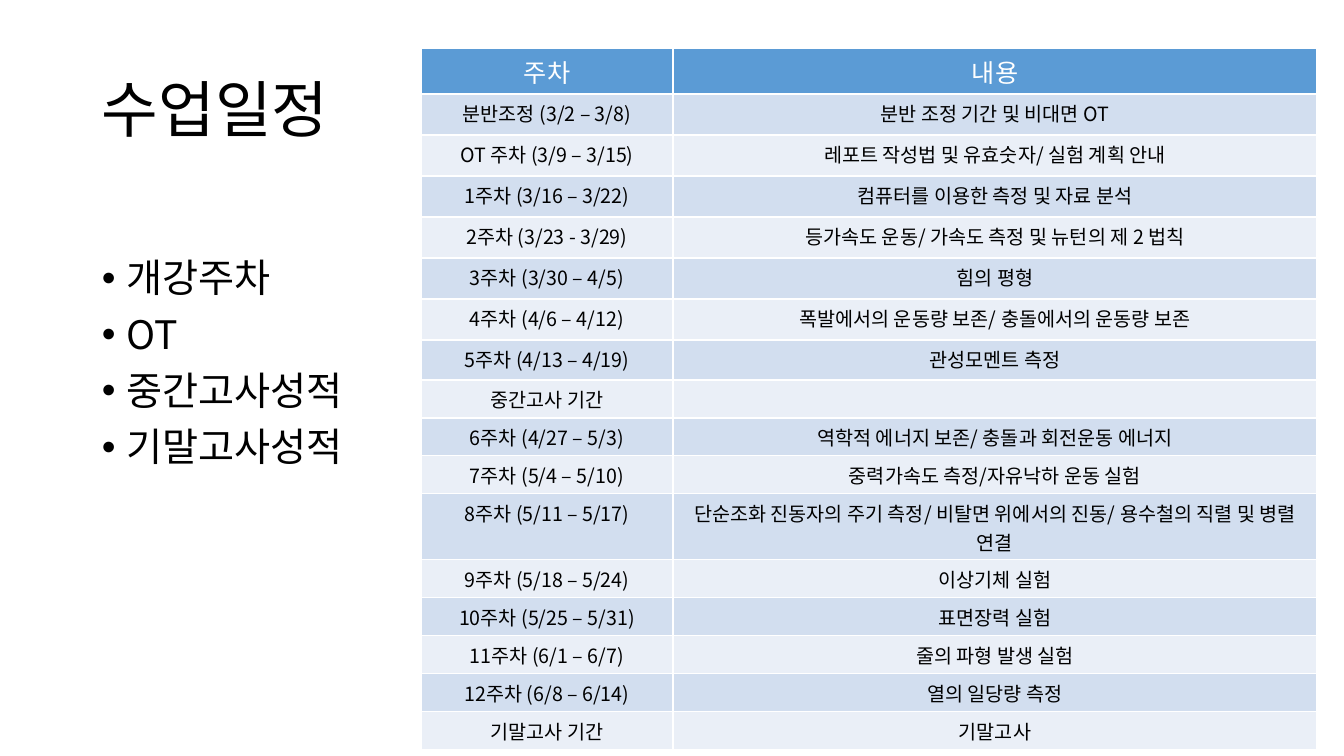
from pptx import Presentation
from pptx import util as u
from pptx.dml.color import RGBColor
from pptx.enum import text
from pptx.oxml import ns
from lxml import etree

FONT = "Noto Sans CJK KR"
BLACK = RGBColor(0, 0, 0)
WHITE = RGBColor(255, 255, 255)
BLUE = RGBColor(0x5B, 0x9B, 0xD5)
BANDS = RGBColor(0xD2, 0xDE, 0xEF), RGBColor(0xEA, 0xEF, 0xF7)

TITLE = "수업일정"
TOPICS = ["개강주차", "OT", "중간고사성적", "기말고사성적"]
WIDTHS = 252, 644
HEIGHTS = [46] + [41] * 6 + [40] + [38] * 3 + [66] + [38] * 5
WEEKS = [
    ("주차", "내용"),
    ("분반조정 (3/2 – 3/8)", "분반 조정 기간 및 비대면 OT"),
    ("OT 주차 (3/9 – 3/15)", "레포트 작성법 및 유효숫자/ 실험 계획 안내"),
    ("1주차 (3/16 – 3/22)", "컴퓨터를 이용한 측정 및 자료 분석"),
    ("2주차 (3/23 - 3/29)", "등가속도 운동/ 가속도 측정 및 뉴턴의 제 2 법칙"),
    ("3주차 (3/30 – 4/5)", "힘의 평형"),
    ("4주차 (4/6 – 4/12)", "폭발에서의 운동량 보존/ 충돌에서의 운동량 보존"),
    ("5주차 (4/13 – 4/19)", "관성모멘트 측정"),
    ("중간고사 기간", ""),
    ("6주차 (4/27 – 5/3)", "역학적 에너지 보존/ 충돌과 회전운동 에너지"),
    ("7주차 (5/4 – 5/10)", "중력가속도 측정/자유낙하 운동 실험"),
    ("8주차 (5/11 – 5/17)",
     "단순조화 진동자의 주기 측정/ 비탈면 위에서의 진동/ 용수철의 직렬 및 병렬 연결"),
    ("9주차 (5/18 – 5/24)", "이상기체 실험"),
    ("10주차 (5/25 – 5/31)", "표면장력 실험"),
    ("11주차 (6/1 – 6/7)", "줄의 파형 발생 실험"),
    ("12주차 (6/8 – 6/14)", "열의 일당량 측정"),
    ("기말고사 기간", "기말고사"),
]


def px(n):
    return u.Emu(round(n * 914400 / 100.8))


def style(para, size, color):
    """Set the Latin and Korean font of a whole paragraph."""
    font = para.font
    font.name, font.size, font.bold = FONT, u.Pt(size), False
    font.color.rgb = color
    props = para._p.pPr.find(ns.qn("a:defRPr"))
    etree.SubElement(props, ns.qn("a:ea"), typeface=FONT)


def add_bullet(para):
    props = para._p.get_or_add_pPr()
    props.set("marL", str(px(25)))
    props.set("indent", str(-px(25)))
    etree.SubElement(props, ns.qn("a:buFont"), typeface="Arial")
    etree.SubElement(props, ns.qn("a:buChar"), char="•")


def add_text(slide, box, lines, size, anchor, bullet=False):
    frame = slide.shapes.add_textbox(*map(px, box)).text_frame
    frame.word_wrap = True
    frame.vertical_anchor = anchor
    for i, line in enumerate(lines):
        para = frame.add_paragraph() if i else frame.paragraphs[0]
        para.text = line
        para.line_spacing = 0.9
        if i:
            para.space_before = u.Pt(10)
        if bullet:
            add_bullet(para)
        style(para, size, BLACK)


def fill_cell(cell, line, size, color, fill):
    cell.fill.solid()
    cell.fill.fore_color.rgb = fill
    para = cell.text_frame.paragraphs[0]
    para.text = line
    para.alignment = text.PP_ALIGN.CENTER
    style(para, size, color)
    if not line:
        para._p.get_or_add_endParaRPr().set("sz", str(size * 100))


def add_plan(slide):
    """Add the table of weeks and contents."""
    table = slide.shapes.add_table(
        len(WEEKS), len(WIDTHS), px(421), px(48),
        px(sum(WIDTHS)), px(sum(HEIGHTS))).table
    for col, width in zip(table.columns, WIDTHS):
        col.width = px(width)
    for i, (row, week) in enumerate(zip(table.rows, WEEKS)):
        row.height = px(HEIGHTS[i])
        look = (14, BLACK, BANDS[(i - 1) % 2]) if i else (18, WHITE, BLUE)
        for cell, line in zip(row.cells, week):
            fill_cell(cell, line, *look)


def main():
    deck = Presentation()
    deck.slide_width, deck.slide_height = px(1344), px(756)
    slide = deck.slides.add_slide(deck.slide_layouts[6])
    add_text(slide, (92, 40, 1159, 146), [TITLE], 44, text.MSO_ANCHOR.MIDDLE)
    add_text(slide, (92, 254, 1159, 480), TOPICS, 28,
             text.MSO_ANCHOR.TOP, bullet=True)
    add_plan(slide)
    deck.save("out.pptx")


if __name__ == "__main__":
    main()
